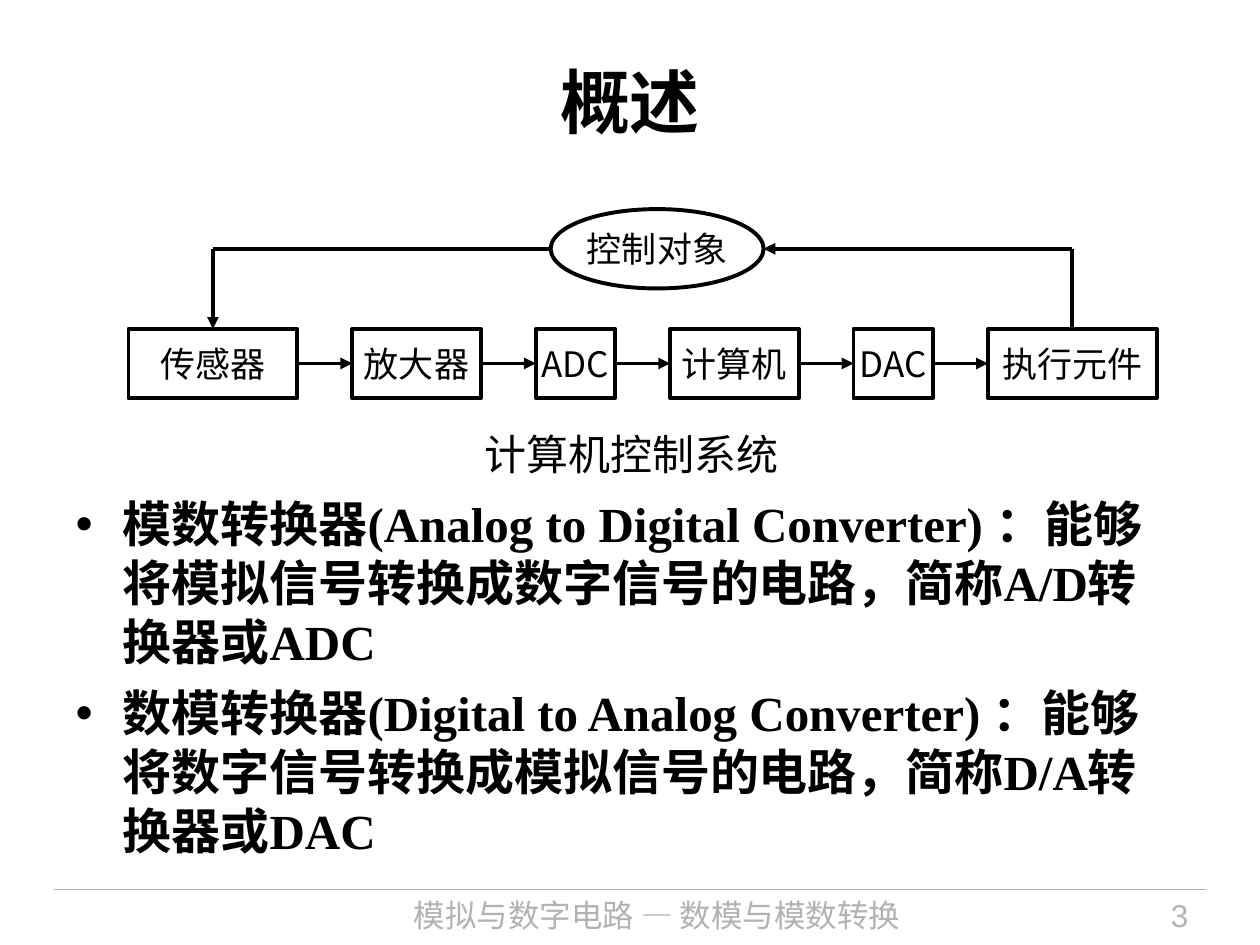
from lxml import etree
from pptx import Presentation
from pptx.dml.color import RGBColor
from pptx.enum.shapes import MSO_CONNECTOR, MSO_SHAPE
from pptx.enum.text import MSO_ANCHOR, MSO_AUTO_SIZE, PP_ALIGN
from pptx.oxml.ns import qn
from pptx.util import Inches, Pt

LEFT, CENTER, RIGHT = PP_ALIGN.LEFT, PP_ALIGN.CENTER, PP_ALIGN.RIGHT
TOP, MIDDLE = MSO_ANCHOR.TOP, MSO_ANCHOR.MIDDLE
STRAIGHT = MSO_CONNECTOR.STRAIGHT
RECTANGLE, OVAL = MSO_SHAPE.RECTANGLE, MSO_SHAPE.OVAL
SIDE_TOP, SIDE_LEFT, SIDE_RIGHT = 0, 1, 3

THEME = {
    "ink": RGBColor(0, 0, 0),
    "muted": RGBColor(0xB2, 0xB2, 0xB2),
    "serif": "Times New Roman",
    "sans": "Arial",
    "cjk": "Noto Sans CJK SC",
    "title": 40,
    "body": 28,
    "caption": 24,
    "block": 20,
    "footer": 18,
    "line": 2.25,
    "rule": 0.75,
}

TITLE = "概述"
BULLETS = [
    "模数转换器(Analog to Digital Converter) ：能够将模拟信号转换成数字信号的电路，简称A/D转换器或ADC",
    "数模转换器(Digital to Analog Converter) ：能够将数字信号转换成模拟信号的电路，简称D/A转换器或DAC",
]
TARGET = "控制对象"
CAPTION = "计算机控制系统"
FOOTER = "模拟与数字电路 — 数模与模数转换"
PAGE_NUMBER = "3"
BLOCKS = [
    ("传感器", 1.34, "cjk"),
    ("放大器", 1.02, "sans"),
    ("ADC", 0.63, "cjk"),
    ("计算机", 1.02, "sans"),
    ("DAC", 0.63, "cjk"),
    ("执行元件", 1.34, "cjk"),
]
CHAIN_LEFT, CHAIN_RIGHT, CHAIN_TOP, BLOCK_HEIGHT = 1.02, 9.18, 2.61, 0.55
TARGET_BOX = (4.37, 1.66, 1.69, 0.63)


def write(shape, lines, size, font="cjk", color="ink", bold=False, align=CENTER,
          anchor=MIDDLE, wrap=True, insets=(0.1, 0.05), after=0):
    frame = shape.text_frame
    frame.auto_size = MSO_AUTO_SIZE.NONE
    frame.word_wrap = wrap
    frame.vertical_anchor = anchor
    frame.margin_left = frame.margin_right = Inches(insets[0])
    frame.margin_top = frame.margin_bottom = Inches(insets[1])
    for index, text in enumerate(lines):
        paragraph = frame.paragraphs[0] if index == 0 else frame.add_paragraph()
        paragraph.alignment = align
        paragraph.space_before = Pt(0)
        paragraph.space_after = Pt(after)
        run = paragraph.add_run()
        run.text = text
        run.font.size = Pt(THEME[size])
        run.font.name = THEME[font]
        run.font.bold = bold
        run.font.color.rgb = THEME[color]
        east_asian = etree.SubElement(run.font._element, qn("a:ea"))
        east_asian.set("typeface", THEME["cjk"])


def place(shape, left, top, width, height):
    shape.left, shape.top = Inches(left), Inches(top)
    shape.width, shape.height = Inches(width), Inches(height)
    return shape


def add_text(slide, box, text, size, **style):
    shape = slide.shapes.add_textbox(*map(Inches, box))
    write(shape, [text], size, **style)


def add_block(slide, kind, box, text, **style):
    shape = slide.shapes.add_shape(kind, *map(Inches, box))
    shape.shadow.inherit = False
    shape.fill.background()
    shape.line.color.rgb = THEME["ink"]
    shape.line.width = Pt(THEME["line"])
    write(shape, [text], "block", wrap=False, **style)
    return shape


def add_line(slide, start, end, arrow=False, color="ink", width="line",
             source=None, target=None):
    connector = slide.shapes.add_connector(STRAIGHT, *map(Inches, start + end))
    if source:
        connector.begin_connect(*source)
    if target:
        connector.end_connect(*target)
    connector.line.color.rgb = THEME[color]
    connector.line.width = Pt(THEME[width])
    if arrow:
        tail = etree.SubElement(connector.line._get_or_add_ln(), qn("a:tailEnd"))
        tail.set("type", "triangle")
    etree.SubElement(connector._element.spPr, qn("a:effectLst"))


def add_control_loop(slide):
    add_block(slide, OVAL, TARGET_BOX, TARGET, insets=(0, 0))
    total_width = sum(width for _, width, _ in BLOCKS)
    gap = (CHAIN_RIGHT - CHAIN_LEFT - total_width) / (len(BLOCKS) - 1)
    middle = CHAIN_TOP + BLOCK_HEIGHT / 2
    left, previous = CHAIN_LEFT, None
    blocks, centers = [], []
    for text, width, font in BLOCKS:
        block = add_block(slide, RECTANGLE, (left, CHAIN_TOP, width, BLOCK_HEIGHT),
                          text, font=font)
        if previous:
            add_line(slide, (left - gap, middle), (left, middle), arrow=True,
                     source=(previous, SIDE_RIGHT), target=(block, SIDE_LEFT))
        blocks.append(block)
        centers.append(left + width / 2)
        previous = block
        left += width + gap

    oval_left, oval_top, oval_width, oval_height = TARGET_BOX
    level = oval_top + oval_height / 2
    sensor_corner, actuator_corner = (centers[0], level), (centers[-1], level)
    add_line(slide, (oval_left, level), sensor_corner)
    add_line(slide, sensor_corner, (centers[0], CHAIN_TOP), arrow=True,
             target=(blocks[0], SIDE_TOP))
    add_line(slide, (centers[-1], CHAIN_TOP), actuator_corner,
             source=(blocks[-1], SIDE_TOP))
    add_line(slide, actuator_corner, (oval_left + oval_width, level), arrow=True)


def main():
    presentation = Presentation()
    presentation.slide_width, presentation.slide_height = Inches(10), Inches(7.5)
    slide = presentation.slides.add_slide(presentation.slide_layouts[1])

    add_line(slide, (0.43, 7.06), (9.57, 7.06), color="muted", width="rule")
    add_text(slide, (2.4, 7.06, 5.63, 0.44), FOOTER, "footer", color="muted", anchor=TOP)
    add_text(slide, (8.2, 7.06, 1.33, 0.44), PAGE_NUMBER, "footer", font="sans",
             color="muted", align=RIGHT, anchor=TOP)

    title = place(slide.shapes.title, 0.5, 0.17, 9, 1.25)
    write(title, [TITLE], "title", font="serif", bold=True)
    body = place(slide.placeholders[1], 0.5, 3.87, 8.83, 3.11)
    write(body, BULLETS, "body", font="serif", bold=True, align=LEFT, anchor=TOP, after=7)

    add_control_loop(slide)
    add_text(slide, (3.85, 3.4, 2.33, 0.4), CAPTION, "caption", wrap=False, insets=(0, 0))
    presentation.save("out.pptx")


if __name__ == "__main__":
    main()
